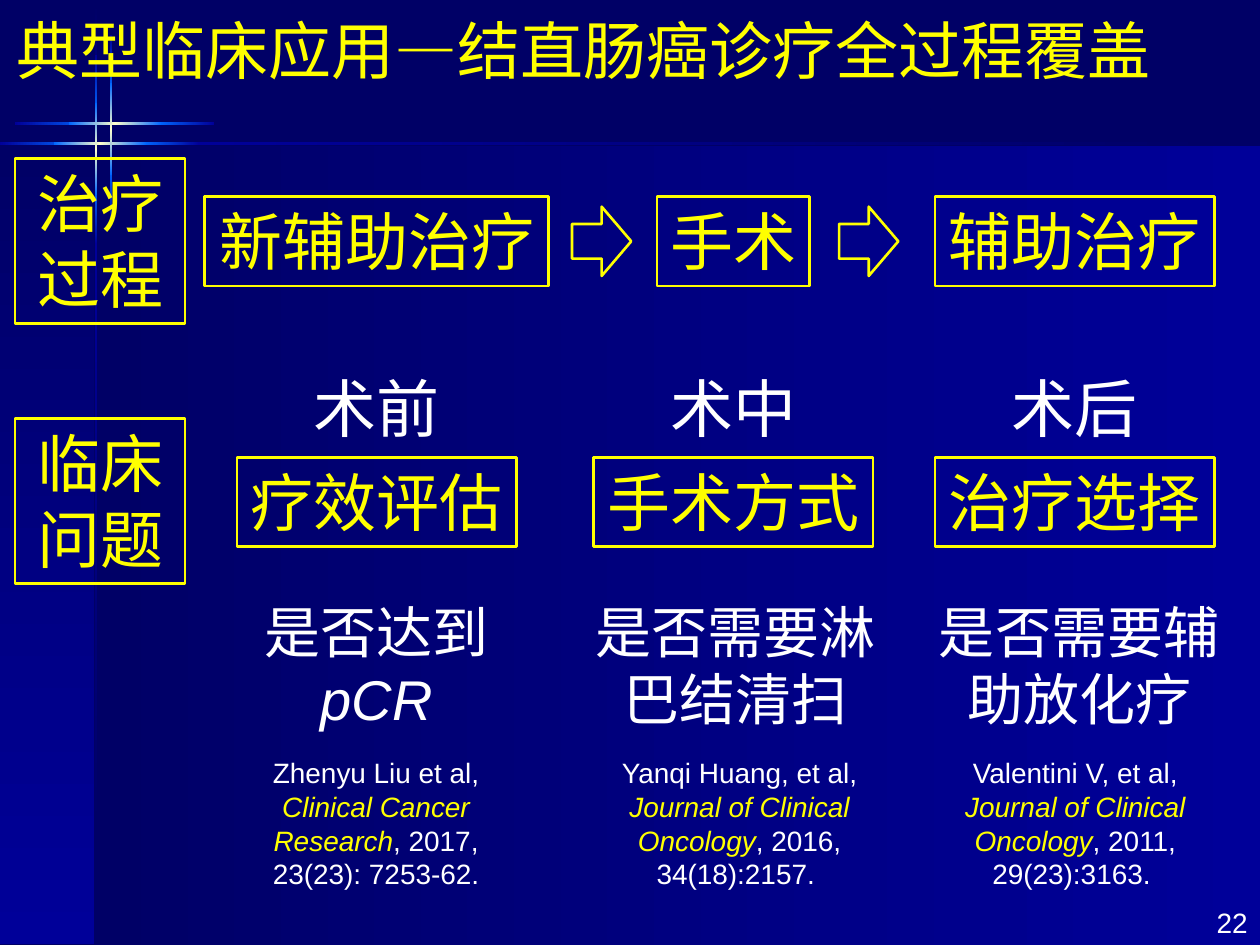
from copy import deepcopy

from lxml.etree import SubElement
from pptx import Presentation
from pptx.dml.color import RGBColor
from pptx.enum.shapes import MSO_SHAPE
from pptx.enum.text import MSO_ANCHOR, MSO_AUTO_SIZE, PP_ALIGN
from pptx.oxml.ns import qn
from pptx.util import Inches, Pt

COLORS = {
    "navy": "000066",
    "blue": "000099",
    "bright": "0066FF",
    "cream": "FFFFCC",
    "yellow": "FFFF00",
    "white": "FFFFFF",
}
LATIN, CHINESE = "Arial", "Noto Sans CJK SC"

presentation = Presentation()
presentation.slide_width = Inches(10)
presentation.slide_height = Inches(7.5)
slide = presentation.slides.add_slide(presentation.slide_layouts[6])
slide.background.fill.solid()
slide.background.fill.fore_color.rgb = RGBColor.from_string(COLORS["navy"])


def add_gradient(left, top, width, height, *names, vertical=False):
    """Add a rectangle whose fill runs evenly through the named colours."""
    shape = slide.shapes.add_shape(
        MSO_SHAPE.RECTANGLE, Inches(left), Inches(top), Inches(width), Inches(height))
    shape.shadow.inherit = False
    shape.line.fill.background()
    shape.fill.gradient()
    shape.fill.gradient_angle = 270 if vertical else 0
    stop_list = next(shape._element.iter(qn("a:gsLst")))
    while len(stop_list) < len(names):
        stop_list.append(deepcopy(stop_list[0]))
    for index, (stop, name) in enumerate(zip(shape.fill.gradient_stops, names)):
        stop.position = index / (len(names) - 1)
        stop.color.rgb = RGBColor.from_string(COLORS[name])


def add_text(text, left, top, width, height, size=36, color="white", font=LATIN,
             align=PP_ALIGN.CENTER, framed=False, wrap=True, inset=0.1, grow=True):
    """Add text, given as a string or as (text, colour, italic) runs."""
    box = [Inches(length) for length in (left, top, width, height)]
    if framed:
        shape = slide.shapes.add_shape(MSO_SHAPE.RECTANGLE, *box)
        shape.shadow.inherit = False
        shape.fill.background()
        shape.line.color.rgb = RGBColor.from_string(COLORS["yellow"])
        shape.line.width = Pt(1.5)
    else:
        shape = slide.shapes.add_textbox(*box)
    frame = shape.text_frame
    frame.word_wrap = wrap
    frame.auto_size = MSO_AUTO_SIZE.SHAPE_TO_FIT_TEXT if grow else MSO_AUTO_SIZE.NONE
    frame.vertical_anchor = MSO_ANCHOR.TOP
    frame.margin_left = frame.margin_right = Inches(inset)
    paragraph = frame.paragraphs[0]
    paragraph.alignment = align
    runs = [(text, color, False)] if isinstance(text, str) else text
    for run_text, run_color, italic in runs:
        run = paragraph.add_run()
        run.text = run_text
        run.font.size = Pt(size)
        run.font.name = font
        run.font.italic = italic
        run.font.color.rgb = RGBColor.from_string(COLORS[run_color])
        SubElement(run.font._element, qn("a:ea")).set("typeface", CHINESE)


# Background panels and the long faint lines
add_gradient(0.75, 1.16, 9.25, 6.34, "navy", "blue")
add_gradient(0, 1.15, 0.75, 6.34, "navy", "blue", vertical=True)
add_gradient(0.75, 0.02, 0.02, 1.21, "navy", "blue", vertical=True)
add_gradient(0.75, 1.94, 0.02, 4.68, "blue", "navy", vertical=True)
add_gradient(1.53, 1.13, 8.23, 0.02, "blue", "navy")

# Two glowing crosses, each named by the left of its upright and the top of its bar
for cross_left, cross_top, tail_left in ((0.75, 1.13, 0), (0.87, 0.97, 0.12)):
    add_gradient(cross_left + 0.39, cross_top, 0.44, 0.02, "bright", "blue")
    add_gradient(tail_left, cross_top, 0.61, 0.02, "blue", "bright")
    add_gradient(cross_left, cross_top + 0.37, 0.02, 0.44, "bright", "blue", vertical=True)
    add_gradient(cross_left, cross_top - 0.69, 0.02, 0.44, "blue", "bright", vertical=True)
    add_gradient(cross_left - 0.32, cross_top, 0.73, 0.02, "bright", "cream", "bright")
    add_gradient(cross_left, cross_top - 0.31, 0.02, 0.73, "bright", "cream", "bright",
                 vertical=True)

add_text("22", 9.02, 7.14, 0.98, 0.37, size=16, align=PP_ALIGN.RIGHT)
add_text("典型临床应用—结直肠癌诊疗全过程覆盖", 0.03, 0.04, 10.08, 0.8,
         color="yellow", align=PP_ALIGN.LEFT, grow=False)

# Row headings
for heading, top in (("治疗过程", 1.26), ("临床问题", 3.32)):
    add_text(heading, 0.12, top, 1.35, 1.31, color="yellow", font=CHINESE, framed=True)

# Columns: centre, treatment, treatment box width, phase, clinical problem
columns = (
    (2.99, "新辅助治疗", 2.73, "术前", "疗效评估"),
    (5.82, "手术", 1.21, "术中", "手术方式"),
    (8.53, "辅助治疗", 2.22, "术后", "治疗选择"),
)
for center, treatment, treatment_width, phase, problem in columns:
    for label, top, width in ((treatment, 1.56, treatment_width), (problem, 3.63, 2.22)):
        add_text(label, center - width / 2, top, width, 0.71, color="yellow",
                 font=CHINESE, framed=True, wrap=False)
    add_text(phase, center - 0.8, 2.88, 1.6, 0.71)

for left in (4.54, 6.66):
    arrow = slide.shapes.add_shape(
        MSO_SHAPE.RIGHT_ARROW, Inches(left), Inches(1.64), Inches(0.47), Inches(0.55))
    arrow.shadow.inherit = False
    arrow.fill.background()
    arrow.line.color.rgb = RGBColor.from_string(COLORS["yellow"])
    arrow.line.width = Pt(1.5)

# Questions
questions = (
    ([("是否达到", "white", False), ("pCR", "white", True)], 1.73, 2.52),
    ("是否需要淋巴结清扫", 4.45, 2.77),
    ("是否需要辅助放化疗", 7.28, 2.57),
)
for question, left, width in questions:
    add_text(question, left, 4.69, width, 1.18, size=32)

# Citations
citations = (
    ("Zhenyu Liu et al, ", "Clinical Cancer Research", ", 2017, 23(23): 7253-62.", 1.73, 2.51),
    ("Yanqi Huang, et al, ", "Journal of Clinical Oncology", ", 2016, 34(18):2157. ", 4.69, 2.36),
    ("Valentini V, et al, ", "Journal of Clinical Oncology", ", 2011, 29(23):3163. ", 7.28, 2.51),
)
for authors, journal, issue, left, width in citations:
    add_text([(authors, "white", False), (journal, "yellow", True), (issue, "white", False)],
             left, 5.95, width, 1.18, size=16, inset=0.2)

presentation.save("out.pptx")
